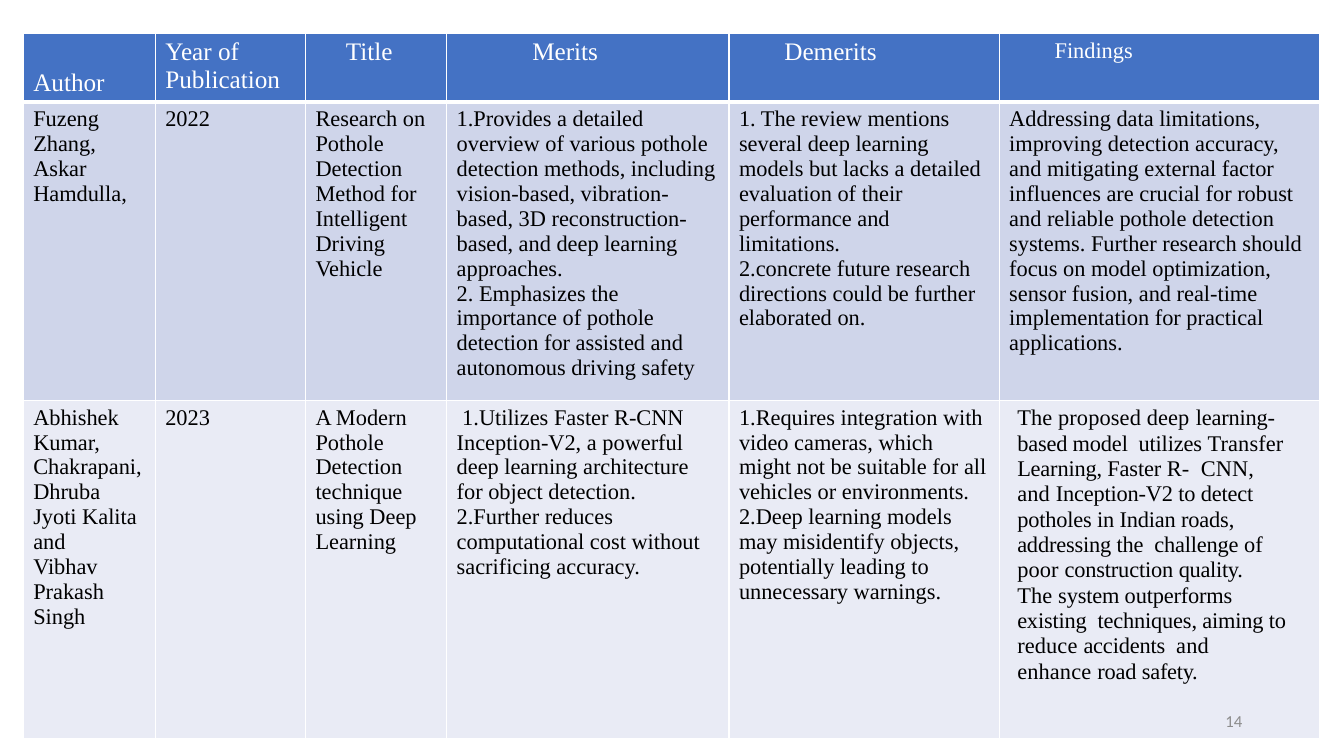
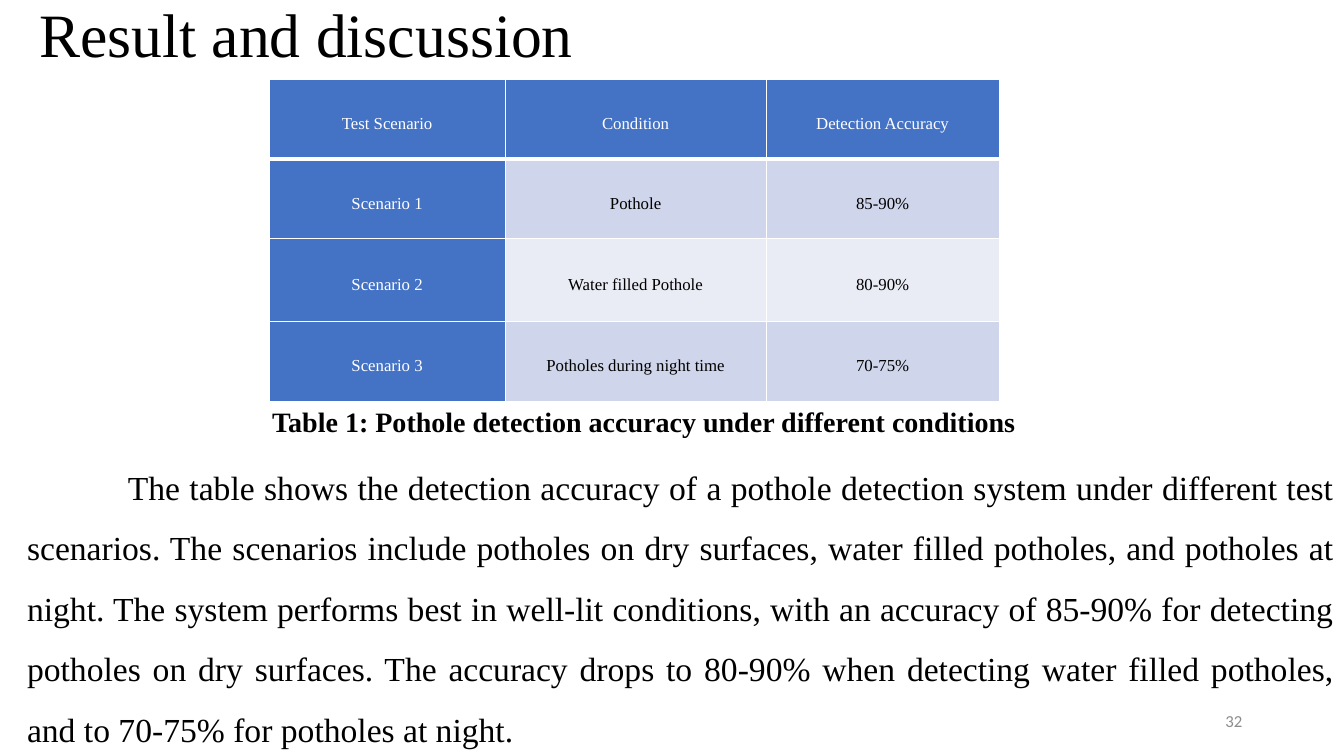
import pptx
import pptx.util
import pptx.dml.color
import pptx.enum.text
import lxml.etree
from pptx.oxml.ns import qn

Inches = pptx.util.Inches
Pt = pptx.util.Pt
RGBColor = pptx.dml.color.RGBColor
ALIGN = pptx.enum.text.PP_ALIGN
ANCHOR = pptx.enum.text.MSO_ANCHOR

WHITE = RGBColor(0xFF, 0xFF, 0xFF)
BLACK = RGBColor(0, 0, 0)
GRAY = RGBColor(0x8C, 0x8C, 0x8C)
BLUE = RGBColor(0x44, 0x72, 0xC4)
BANDS = (RGBColor(0xCF, 0xD5, 0xEA), RGBColor(0xE9, 0xEB, 0xF5))
SERIF = "Times New Roman"
SANS = "Calibri"

SURVEY_HEADERS = ["Author", "Year of Publication", "Title", "Merits", "Demerits", "Findings"]
SURVEY_INDENTS = [0, 0, 0.3, 0.75, 0.45, 0.45]
SURVEY_ROWS = [
    [
        "Fuzeng Zhang, Askar Hamdulla,",
        "2022",
        "Research on Pothole Detection Method for Intelligent Driving Vehicle",
        "1.Provides a detailed overview of various pothole detection methods, including "
        "vision-based, vibration-based, 3D reconstruction-based, and deep learning approaches.\n"
        "2. Emphasizes the importance of pothole detection for assisted and autonomous "
        "driving safety",
        "1. The review mentions several deep learning models but lacks a detailed evaluation "
        "of their performance and limitations.\n"
        "2.concrete future research directions could be further elaborated on.",
        "Addressing data limitations, improving detection accuracy, and mitigating external "
        "factor influences are crucial for robust and reliable pothole detection systems. "
        "Further research should focus on model optimization, sensor fusion, and real-time "
        "implementation for practical applications.",
    ],
    [
        "Abhishek Kumar,\nChakrapani,\nDhruba Jyoti Kalita and\nVibhav Prakash Singh",
        "2023",
        "A Modern Pothole Detection technique using Deep Learning",
        " 1.Utilizes Faster R-CNN Inception-V2, a powerful deep learning architecture for "
        "object detection.\n"
        "2.Further reduces computational cost without sacrificing accuracy.",
        "1.Requires integration with video cameras, which might not be suitable for all "
        "vehicles or environments. 2.Deep learning models may misidentify objects, "
        "potentially leading to unnecessary warnings.",
        "",
    ],
]
SPACED_FINDINGS = [
    [
        ("The proposed deep ", 10),
        ("learning-based model  utilizes ", -10),
        ("Transfer ", 10),
        ("Learning, Faster ", -10),
        ("R-  CNN, and ", 10),
        ("Inception-V2 to detect  potholes in Indian roads, addressing the  challenge ", -10),
        ("of poor ", 10),
        ("construction ", -10),
        ("quality.", -20),
    ],
    [
        ("The ", 10),
        ("system outperforms existing  techniques, aiming to ", -10),
        ("reduce ", 10),
        ("accidents  ", -10),
        ("and enhance ", 10),
        ("road ", -10),
        ("safety.", -20),
    ],
]
ACCURACY_ROWS = [
    ["Test Scenario", "Condition", "Detection Accuracy"],
    ["Scenario 1", "Pothole", "85-90%"],
    ["Scenario 2", "Water filled Pothole", "80-90%"],
    ["Scenario 3", "Potholes during night time", "70-75%"],
]
DISCUSSION = (
    "The table shows the detection accuracy of a pothole detection system under different "
    "test scenarios. The scenarios include potholes on dry surfaces, water filled potholes, "
    "and potholes at night. The system performs best in well-lit conditions, with an accuracy "
    "of 85-90% for detecting potholes on dry surfaces. The accuracy drops to 80-90% when "
    "detecting water filled potholes, and to 70-75% for potholes at night."
)


def set_indents(paragraph, **lengths):
    properties = paragraph._p.get_or_add_pPr()
    for name, inches in lengths.items():
        properties.set(name, str(Inches(inches)))


def style_paragraph(paragraph, size, color=BLACK, font=SERIF, bold=False, align=ALIGN.LEFT):
    paragraph.alignment = align
    paragraph.font.size = Pt(size)
    paragraph.font.name = font
    paragraph.font.bold = bold
    paragraph.font.color.rgb = color


def add_text(slide, text, left, top, width, height, size, anchor=ANCHOR.TOP, **style):
    box = slide.shapes.add_textbox(Inches(left), Inches(top), Inches(width), Inches(height))
    frame = box.text_frame
    frame.word_wrap = True
    frame.vertical_anchor = anchor
    frame.text = text
    paragraph = frame.paragraphs[0]
    style_paragraph(paragraph, size, **style)
    return paragraph


def add_page_number(slide, number):
    add_text(slide, number, 9.42, 6.95, 3, 0.4, 12, ANCHOR.MIDDLE,
             color=GRAY, font=SANS, align=ALIGN.RIGHT)


def set_borders(cell, bottom_width):
    properties = cell._tc.get_or_add_tcPr()
    widths = {"a:lnL": 1, "a:lnR": 1, "a:lnT": 1, "a:lnB": bottom_width}
    for position, (tag, width) in enumerate(widths.items()):
        line = lxml.etree.Element(qn(tag), w=str(Pt(width)))
        fill = lxml.etree.SubElement(line, qn("a:solidFill"))
        lxml.etree.SubElement(fill, qn("a:srgbClr"), val=str(WHITE))
        properties.insert(position, line)


def add_grid(slide, rows, left, top, widths, heights, size, align=ALIGN.LEFT, header_column=False):
    table = slide.shapes.add_table(
        len(rows), len(widths), Inches(left), Inches(top),
        Inches(sum(widths)), Inches(sum(heights))).table
    table.first_col = header_column
    for column, width in zip(table.columns, widths):
        column.width = Inches(width)
    for row_index, (row, height) in enumerate(zip(rows, heights)):
        table.rows[row_index].height = Inches(height)
        for column_index, text in enumerate(row):
            cell = table.cell(row_index, column_index)
            is_header = row_index == 0 or (header_column and column_index == 0)
            cell.fill.solid()
            cell.fill.fore_color.rgb = BLUE if is_header else BANDS[(row_index - 1) % 2]
            set_borders(cell, 3 if row_index == 0 else 1)
            cell.text = text
            for paragraph in cell.text_frame.paragraphs:
                style_paragraph(paragraph, size, WHITE if is_header else BLACK, align=align)
    return table


def fill_spaced_cell(cell, paragraphs, size):
    frame = cell.text_frame
    for index, segments in enumerate(paragraphs):
        paragraph = frame.add_paragraph() if index else frame.paragraphs[0]
        set_indents(paragraph, marL=0.08, marR=0.21, indent=0)
        paragraph.line_spacing = 1.02
        style_paragraph(paragraph, size)
        for text, spacing in segments:
            run = paragraph.add_run()
            run.text = text
            run._r.get_or_add_rPr().set("spc", str(spacing))


def build_survey(slide):
    table = add_grid(slide, [SURVEY_HEADERS] + SURVEY_ROWS, 0.23, 0.33,
                     [1.31, 1.49, 1.4, 2.8, 2.68, 3.18], [0.68, 2.96, 3.36], 16)
    for column_index, indent in enumerate(SURVEY_INDENTS):
        paragraph = table.cell(0, column_index).text_frame.paragraphs[0]
        set_indents(paragraph, marL=indent)
        paragraph.font.size = Pt(16 if SURVEY_HEADERS[column_index] == "Findings" else 18)
    table.cell(0, 0).vertical_anchor = ANCHOR.BOTTOM
    fill_spaced_cell(table.cell(2, 5), SPACED_FINDINGS, 16)
    add_page_number(slide, "14")


def build_results(slide):
    add_text(slide, "Result and discussion", 0.29, -0.09, 5.6, 0.84, 44)
    table = add_grid(slide, ACCURACY_ROWS, 2.67, 0.79, [2.34, 2.59, 2.31],
                     [0.79, 0.79, 0.82, 0.79], 12, ALIGN.CENTER, header_column=True)
    for cell in table.iter_cells():
        cell.vertical_anchor = ANCHOR.MIDDLE
        cell.margin_left = cell.margin_right = Inches(0.07)
        cell.margin_top = cell.margin_bottom = 0
        paragraph = cell.text_frame.paragraphs[0]
        paragraph.line_spacing = 1.5
        paragraph.space_before = Pt(2)
    discussion = add_text(slide, DISCUSSION, 0.17, 4.4, 13.16, 3.06, 24,
                          ANCHOR.MIDDLE, align=ALIGN.JUSTIFY)
    discussion.line_spacing = 1.5
    set_indents(discussion, marL=0, indent=1)
    add_text(slide, "Table 1: Pothole detection accuracy under different conditions",
             2.6, 3.96, 7.92, 0.44, 20, bold=True, align=ALIGN.JUSTIFY)
    add_page_number(slide, "32")


def main():
    presentation = pptx.Presentation()
    presentation.slide_width = Inches(13.33)
    presentation.slide_height = Inches(7.5)
    for build in (build_survey, build_results):
        build(presentation.slides.add_slide(presentation.slide_layouts[6]))
    presentation.save("out.pptx")


if __name__ == "__main__":
    main()
